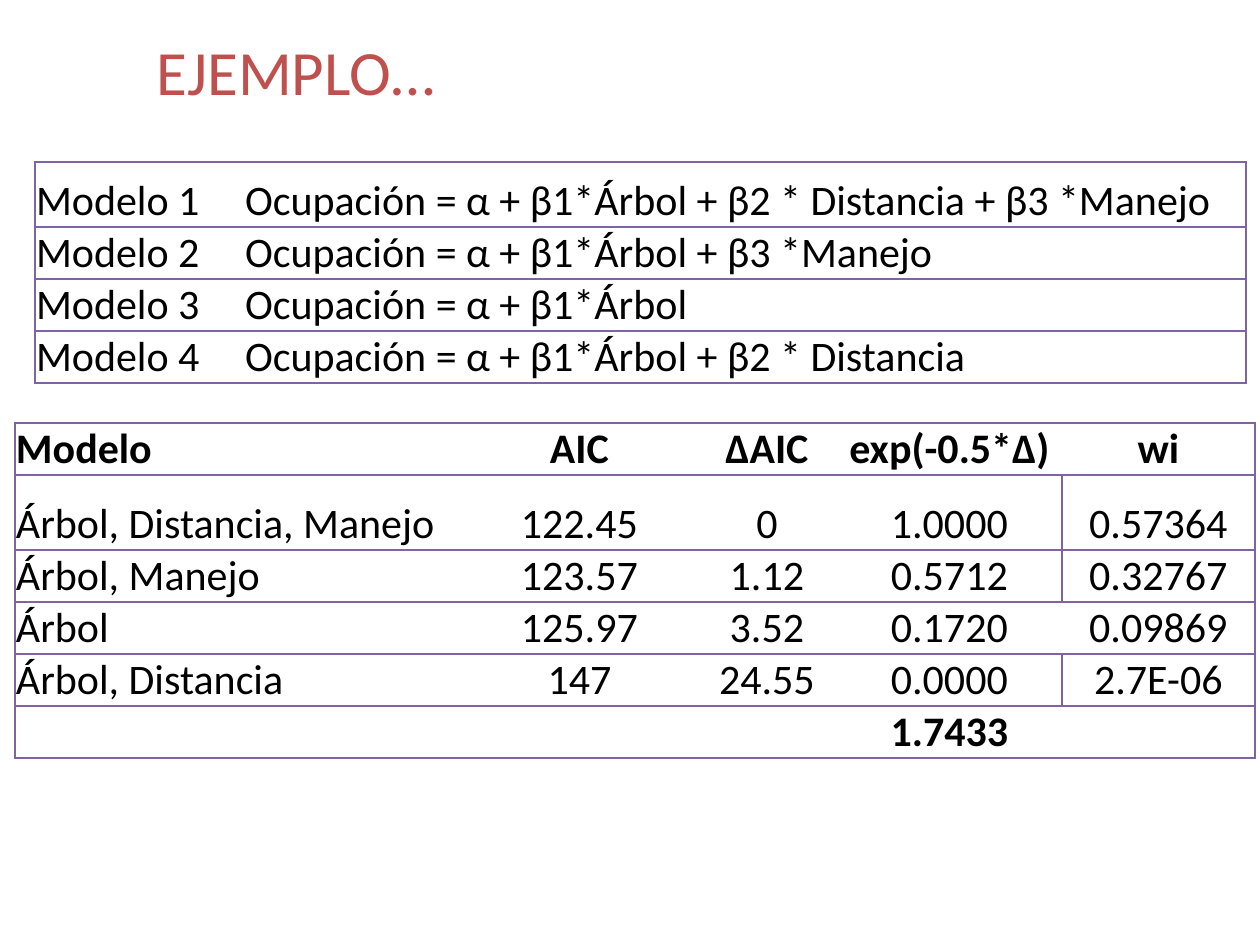
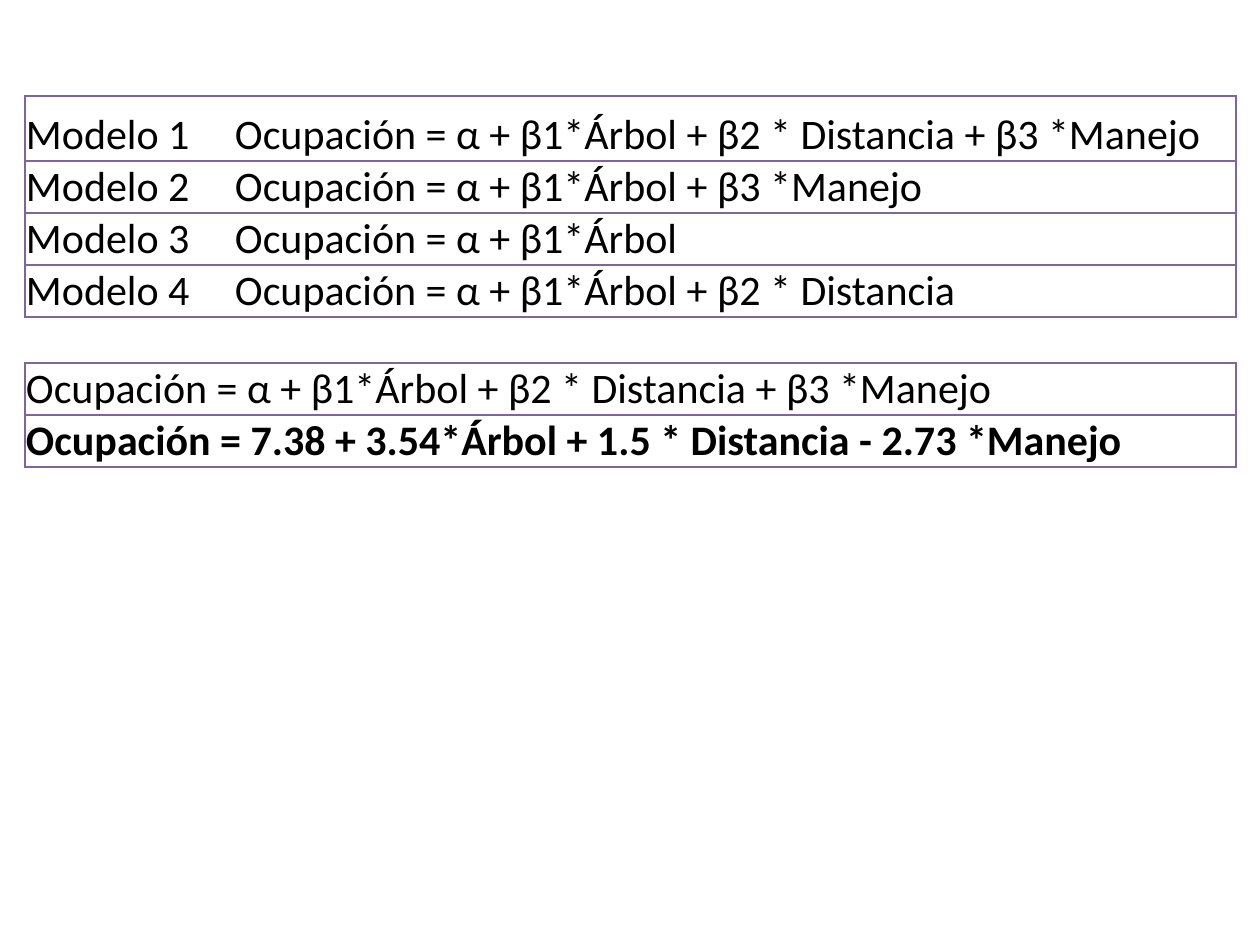
import pptx
import pptx.dml.color
import pptx.enum.text
import pptx.util
from dataclasses import dataclass
from lxml import etree


@dataclass(frozen=True)
class Theme:
    font: str = "Calibri"
    title: str = "C0504D"
    text: str = "000000"
    fill: str = "FFFFFF"
    border: str = "8064A2"
    title_size: int = 36
    body_size: int = 24
    border_pt: int = 1


theme = Theme()
SCALE = 914400 / 126  # EMU in one px
ROW = 52
A = "http://schemas.openxmlformats.org/drawingml/2006/main"
ALIGN = pptx.enum.text.PP_ALIGN
ANCHOR = pptx.enum.text.MSO_ANCHOR
rgb = pptx.dml.color.RGBColor.from_string


def px(n):
    return pptx.util.Emu(round(n * SCALE))


def add_table(slide, left, top, cols, rows, data, merged=(), bold=(), centred=(), dividers=()):
    """Ruled table; merged holds (row, first, last), dividers holds (row, column to the right)."""
    sp = slide.shapes.add_table(len(rows), len(cols), px(left), px(top), px(sum(cols)), px(sum(rows)))
    table = sp.table
    table.first_row = table.horz_banding = False
    for c, width in enumerate(cols):
        table.columns[c].width = px(width)
    for r, height in enumerate(rows):
        table.rows[r].height = px(height)
    ends = {(r, first): last for r, first, last in merged}
    for r, first, last in merged:
        table.cell(r, first).merge(table.cell(r, last))

    for r, values in enumerate(data):
        for c, value in enumerate(values):
            cell = table.cell(r, c)
            layout = {"margin_left": px(1), "margin_right": px(1), "margin_top": px(1),
                      "margin_bottom": 0, "vertical_anchor": ANCHOR.BOTTOM}
            for name, setting in layout.items():
                setattr(cell, name, setting)

            # Borders: every horizontal rule, the outer sides and any dividers
            end = ends.get((r, c), c)
            sides = {"lnL": c == 0 or (r, c) in dividers,
                     "lnR": end == len(cols) - 1 or (r, end + 1) in dividers,
                     "lnT": True, "lnB": True}
            for tag, ruled in sides.items():
                ln = etree.SubElement(cell._tc.get_or_add_tcPr(), f"{{{A}}}{tag}",
                                      w=str(pptx.util.Pt(theme.border_pt)))
                fill = etree.SubElement(ln, f"{{{A}}}{'solidFill' if ruled else 'noFill'}")
                if ruled:
                    etree.SubElement(fill, f"{{{A}}}srgbClr", val=theme.border)
            cell.fill.solid()
            cell.fill.fore_color.rgb = rgb(theme.fill)

            if value:
                p = cell.text_frame.paragraphs[0]
                p.alignment = ALIGN.CENTER if c in centred else ALIGN.LEFT
                run = p.add_run()
                run.text = value
                font = {"name": theme.font, "size": pptx.util.Pt(theme.body_size), "bold": r in bold}
                for name, setting in font.items():
                    setattr(run.font, name, setting)
                run.font.color.rgb = rgb(theme.text)


prs = pptx.Presentation()
prs.slide_width, prs.slide_height = px(1260), px(945)
example = prs.slides.add_slide(prs.slide_layouts[5])
equation = prs.slides.add_slide(prs.slide_layouts[6])

# Title of the example slide
sp = example.shapes.title
for name, n in {"left": 144, "top": 26, "width": 1062, "height": 90}.items():
    setattr(sp, name, px(n))
tf = sp.text_frame
tf.text = "EJEMPLO…"
tf.auto_size = pptx.enum.text.MSO_AUTO_SIZE.SHAPE_TO_FIT_TEXT
tf.vertical_anchor = ANCHOR.TOP
p = tf.paragraphs[0]
p.alignment = ALIGN.LEFT
for name, setting in {"name": theme.font, "size": pptx.util.Pt(theme.title_size)}.items():
    setattr(p.runs[0].font, name, setting)
p.runs[0].font.color.rgb = rgb(theme.title)

# Candidate models, on both slides
full_model = "Ocupación = α + β1*Árbol + β2 * Distancia + β3 *Manejo"
formulas = [
    full_model,
    "Ocupación = α + β1*Árbol + β3 *Manejo",
    "Ocupación = α + β1*Árbol",
    "Ocupación = α + β1*Árbol + β2 * Distancia",
]
models = [(f"Modelo {n}", formula, "") for n, formula in enumerate(formulas, 1)]
for slide, left, top in ((example, 35, 162), (equation, 25, 96)):
    add_table(slide, left, top, [209, 619, 383], [65] + [ROW] * 3, models,
              merged=[(r, 1, 2) for r in (0, 1, 3)])

# AIC comparison
comparison = [
    ("Modelo", "", "AIC", "∆AIC", "exp(-0.5*∆)", "wi"),
    ("Árbol, Distancia, Manejo", "", "122.45", "0", "1.0000", "0.57364"),
    ("Árbol, Manejo", "", "123.57", "1.12", "0.5712", "0.32767"),
    ("Árbol", "", "125.97", "3.52", "0.1720", "0.09869"),
    ("Árbol, Distancia", "", "147", "24.55", "0.0000", "2.7E-06"),
    ("", "", "", "", "1.7433", ""),
]
wide_rows = (1, 2, 4)
add_table(example, 15, 423, [160, 287, 235, 140, 225, 193], [ROW, 75] + [ROW] * 4, comparison,
          merged=[(r, 0, 1) for r in wide_rows], bold=(0, 5), centred=range(2, 6),
          dividers=[(r, 5) for r in wide_rows])

# Fitted equation
add_table(equation, 25, 363, [1211], [ROW] * 2,
          [(full_model,), ("Ocupación = 7.38 + 3.54*Árbol + 1.5 * Distancia - 2.73 *Manejo",)], bold=(1,))

prs.save("out.pptx")
